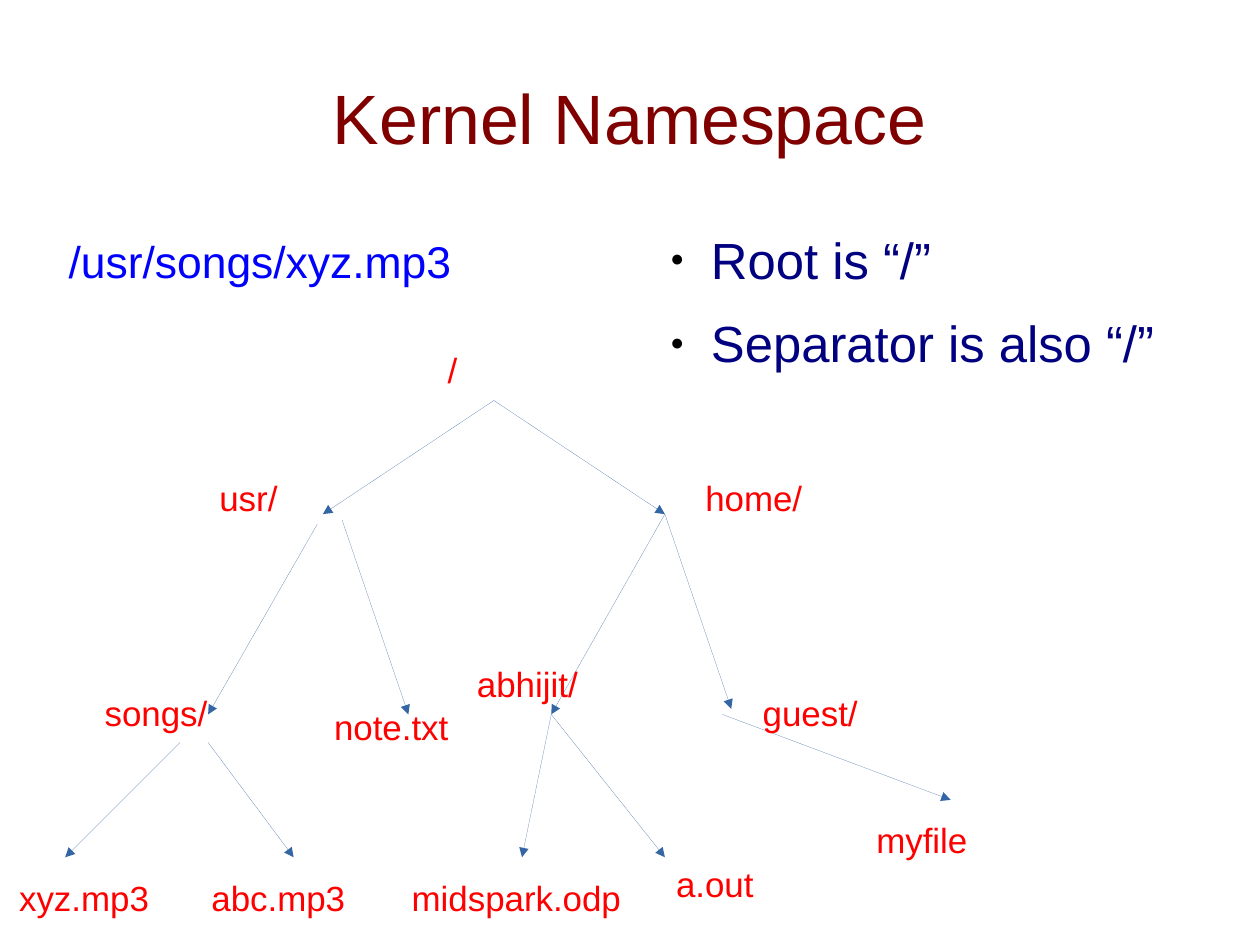
from lxml import etree
from pptx import Presentation
from pptx.dml.color import RGBColor
from pptx.enum.shapes import MSO_CONNECTOR
from pptx.enum.text import MSO_ANCHOR, MSO_AUTO_SIZE, PP_ALIGN
from pptx.oxml.ns import qn
from pptx.util import Pt

STRAIGHT = MSO_CONNECTOR.STRAIGHT
TOP, MIDDLE = MSO_ANCHOR.TOP, MSO_ANCHOR.MIDDLE
GROW, FIXED = MSO_AUTO_SIZE.SHAPE_TO_FIT_TEXT, MSO_AUTO_SIZE.NONE
CENTER = PP_ALIGN.CENTER

PX = 9000  # 40 px to the centimetre
THEME = {
    "font": "Arial",
    "title": ("800000", 44),
    "bullet": ("000080", 32),
    "path": ("0000FF", 28),
    "node": ("FF0000", 22),
    "edge": "3465A4",
    "bullet_mark": "000000",
}

prs = Presentation()
prs.slide_width, prs.slide_height = 1120 * PX, 840 * PX
s = prs.slides.add_slide(prs.slide_layouts[6])


def add_text(box, lines, style, inset=(10, 5), anchor=TOP, fit=GROW):
    """Add a text box with one paragraph per line and return its paragraphs."""
    tf = s.shapes.add_textbox(*(v * PX for v in box)).text_frame
    tf.word_wrap = True
    tf.auto_size = fit
    tf.vertical_anchor = anchor
    tf.margin_left = tf.margin_right = inset[0] * PX
    tf.margin_top = tf.margin_bottom = inset[1] * PX
    color, size = THEME[style]
    for i, line in enumerate(lines):
        p = tf.add_paragraph() if i else tf.paragraphs[0]
        r = p.add_run()
        r.text = line
        r.font.name = THEME["font"]
        r.font.size = Pt(size)
        r.font.color.rgb = RGBColor.from_string(color)
    return tf.paragraphs


# Title
title = add_text((56, 39, 1008, 130), ["Kernel Namespace"], "title", (0, 0), MIDDLE)
title[0].alignment = CENTER

# Bullets
rules = ["Root is “/”", "Separator is also “/”"]
for p in add_text((584, 203, 480, 537), rules, "bullet", (0, 0), fit=FIXED):
    p.space_after = Pt(14.2)
    pPr = p._p.get_or_add_pPr()
    pPr.set("marL", str(48 * PX))
    pPr.set("indent", str(-36 * PX))
    mark_color = etree.SubElement(pPr, qn("a:buClr"))
    etree.SubElement(mark_color, qn("a:srgbClr"), val=THEME["bullet_mark"])
    etree.SubElement(pPr, qn("a:buSzPct"), val="45000")
    etree.SubElement(pPr, qn("a:buFont"), typeface=THEME["font"])
    etree.SubElement(pPr, qn("a:buChar"), char="●")

# Tree edges, parent to child: x1, y1, x2, y2
edges = [
    (439, 356, 287, 457), (439, 356, 591, 457),
    (282, 466, 185, 635), (304, 462, 363, 635),
    (591, 457, 490, 635), (591, 457, 650, 630),
    (185, 660, 261, 762), (160, 660, 58, 762),
    (490, 635, 591, 762), (490, 635, 464, 762),
    (642, 635, 845, 711),
]
for edge in edges:
    c = s.shapes.add_connector(STRAIGHT, *(v * PX for v in edge))
    c.line.color.rgb = RGBColor.from_string(THEME["edge"])
    ln = c.line._get_or_add_ln()
    ln.set("w", "0")
    etree.SubElement(ln, qn("a:tailEnd"), type="triangle")
    etree.SubElement(c._element.spPr, qn("a:effectLst"))

# Tree nodes: name, left, top, width, height
nodes = [
    ("/", 388, 305, 127, 45),
    ("usr/", 185, 419, 127, 45), ("home/", 617, 419, 152, 45),
    ("songs/", 83, 610, 127, 45), ("note.txt", 287, 622, 152, 64),
    ("abhijit/", 414, 584, 127, 51), ("guest/", 668, 610, 127, 45),
    ("xyz.mp3", 7, 774, 145, 45), ("abc.mp3", 178, 774, 160, 45),
    ("midspark.odp", 356, 774, 210, 45), ("a.out", 591, 762, 178, 45),
    ("myfile", 769, 723, 178, 45),
]
for name, *box in nodes:
    add_text(box, [name], "node")

add_text((51, 203, 457, 54), ["/usr/songs/xyz.mp3"], "path")

prs.save("out.pptx")
